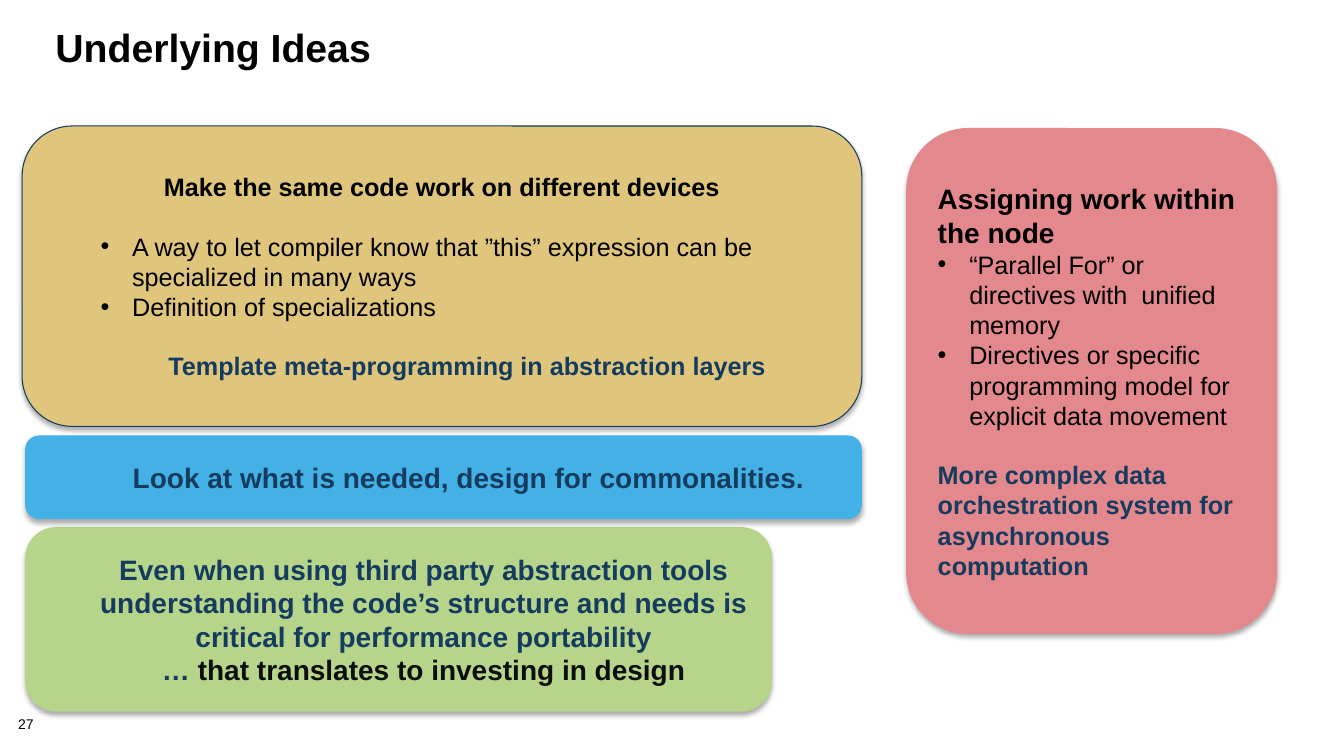
"""Build the "Underlying Ideas" slide with its four rounded idea panels."""
from dataclasses import dataclass
from typing import Optional

import lxml.etree
import pptx
import pptx.dml.color
import pptx.enum.shapes
import pptx.enum.text
import pptx.oxml.ns
import pptx.util

Pt = pptx.util.Pt
qn = pptx.oxml.ns.qn
LEFT = pptx.enum.text.PP_ALIGN.LEFT
CENTER = pptx.enum.text.PP_ALIGN.CENTER


@dataclass(frozen=True)
class Theme:
    font: str = "Arial"
    black: str = "000000"
    soft_black: str = "0D0D0D"
    navy: str = "153B5E"
    gold: str = "E0C67D"
    blue: str = "43B1E5"
    green: str = "B6D58B"
    pink: str = "E3888C"
    title: float = 28
    large: float = 20
    body: float = 18
    number: float = 10
    line_gap: float = 20.7
    hanging: float = 22.5
    indent: float = 36


THEME = Theme()


@dataclass(frozen=True)
class Run:
    text: str
    color: str = THEME.black
    size: float = THEME.body
    bold: bool = True


@dataclass(frozen=True)
class Para:
    runs: tuple[Run, ...]
    align: pptx.enum.text.PP_ALIGN = LEFT
    indent: float = 0
    bullet: bool = False
    before: float = 0


@dataclass(frozen=True)
class Panel:
    left: float
    top: float
    width: float
    height: float
    fill: str
    paras: tuple[Para, ...]
    line: Optional[str] = None


def bullet(text: str, indent: float = 0, before: float = 0) -> Para:
    return Para((Run(text, bold=False),), indent=indent, bullet=True, before=before)


def navy_center(text: str, size: float = THEME.large, before: float = 0) -> Para:
    return Para((Run(text, THEME.navy, size),), CENTER, THEME.indent, before=before)


PANELS = (
    Panel(18, 376.56, 533.52, 131.76, THEME.green, (
        navy_center("Even when using third party abstraction tools understanding the "
                    "code’s structure and needs is critical for performance portability"),
        Para((Run("… ", THEME.navy, THEME.large),
              Run("that translates to investing in design", THEME.soft_black, THEME.large)),
             CENTER, THEME.indent),
    )),
    Panel(647.28, 91.44, 264.96, 361.44, THEME.pink, (
        Para((Run("Assigning work within the node", size=THEME.large),)),
        bullet("“Parallel For” or directives with  unified memory"),
        bullet("Directives or specific programming model for explicit data movement"),
        Para((Run("More complex data orchestration system for asynchronous computation",
                  THEME.navy),), before=THEME.line_gap),
    )),
    Panel(15.84, 90, 599.76, 214.56, THEME.gold, (
        Para((Run("Make the same code work on different devices"),), CENTER),
        bullet("A way to let compiler know that ”this” expression can be "
               "specialized in many ways", THEME.indent, THEME.line_gap),
        bullet("Definition of specializations", THEME.indent),
        navy_center("Template meta-programming in abstraction layers", THEME.body,
                    THEME.line_gap),
    ), THEME.navy),
    Panel(18, 311.04, 597.6, 59.76, THEME.blue, (
        navy_center("Look at what is needed, design for commonalities."),
    )),
)


def rgb(color: str) -> pptx.dml.color.RGBColor:
    return pptx.dml.color.RGBColor.from_string(color)


def format_run(r, run: Run) -> None:
    r.font.name = THEME.font
    r.font.size = Pt(run.size)
    r.font.bold = run.bold
    r.font.color.rgb = rgb(run.color)


def write_para(p, para: Para) -> None:
    pPr = p._p.get_or_add_pPr()
    hanging = THEME.hanging if para.bullet else 0
    pPr.set("marL", str(Pt(para.indent + hanging)))
    pPr.set("indent", str(-Pt(hanging)))
    if para.bullet:
        lxml.etree.SubElement(pPr, qn("a:buFont"), typeface=THEME.font)
        lxml.etree.SubElement(pPr, qn("a:buChar"), char="•")
    p.alignment = para.align
    if para.before:
        p.space_before = Pt(para.before)
    for run in para.runs:
        r = p.add_run()
        r.text = run.text
        format_run(r, run)


def add_shadow(sp) -> None:
    sp.shadow.inherit = False
    effects = sp._element.spPr.find(qn("a:effectLst"))
    shadow = lxml.etree.SubElement(
        effects, qn("a:outerShdw"), blurRad=str(Pt(3.5)), dist=str(Pt(2.2)),
        dir="5400000", rotWithShape="0")
    color = lxml.etree.SubElement(shadow, qn("a:srgbClr"), val=THEME.black)
    lxml.etree.SubElement(color, qn("a:alpha"), val="32000")


def add_panel(s, panel: Panel) -> None:
    sp = s.shapes.add_shape(
        pptx.enum.shapes.MSO_SHAPE.ROUNDED_RECTANGLE,
        Pt(panel.left), Pt(panel.top), Pt(panel.width), Pt(panel.height))
    sp.fill.solid()
    sp.fill.fore_color.rgb = rgb(panel.fill)
    if panel.line:
        sp.line.color.rgb = rgb(panel.line)
        sp.line.width = Pt(0.75)
    else:
        sp.line.fill.background()
    add_shadow(sp)
    tf = sp.text_frame
    tf.word_wrap = True
    tf.vertical_anchor = pptx.enum.text.MSO_ANCHOR.MIDDLE
    tf.margin_left = tf.margin_right = Pt(9.6)
    tf.margin_top = tf.margin_bottom = Pt(4.8)
    for i, para in enumerate(panel.paras):
        write_para(tf.add_paragraph() if i else tf.paragraphs[0], para)


def write_line(tf, run: Run, spacing: float) -> None:
    tf.word_wrap = True
    tf.vertical_anchor = pptx.enum.text.MSO_ANCHOR.TOP
    tf.text = run.text
    p = tf.paragraphs[0]
    p.alignment = LEFT
    p.line_spacing = spacing
    format_run(p.runs[0], run)


def main() -> None:
    prs = pptx.Presentation()
    prs.slide_width, prs.slide_height = Pt(960), Pt(540)
    s = prs.slides.add_slide(prs.slide_layouts[5])
    title = s.shapes.title
    title.left, title.top, title.width, title.height = Pt(32.4), Pt(18), Pt(895.68), Pt(72)
    write_line(title.text_frame, Run("Underlying Ideas", size=THEME.title), 0.85)
    number = s.shapes.add_textbox(Pt(12.96), Pt(512.64), Pt(40.32), Pt(11.52))
    tf = number.text_frame
    tf.margin_left = tf.margin_right = tf.margin_top = tf.margin_bottom = 0
    write_line(tf, Run("27", size=THEME.number, bold=False), 0.9)
    for panel in PANELS:
        add_panel(s, panel)
    prs.save("out.pptx")


if __name__ == "__main__":
    main()
